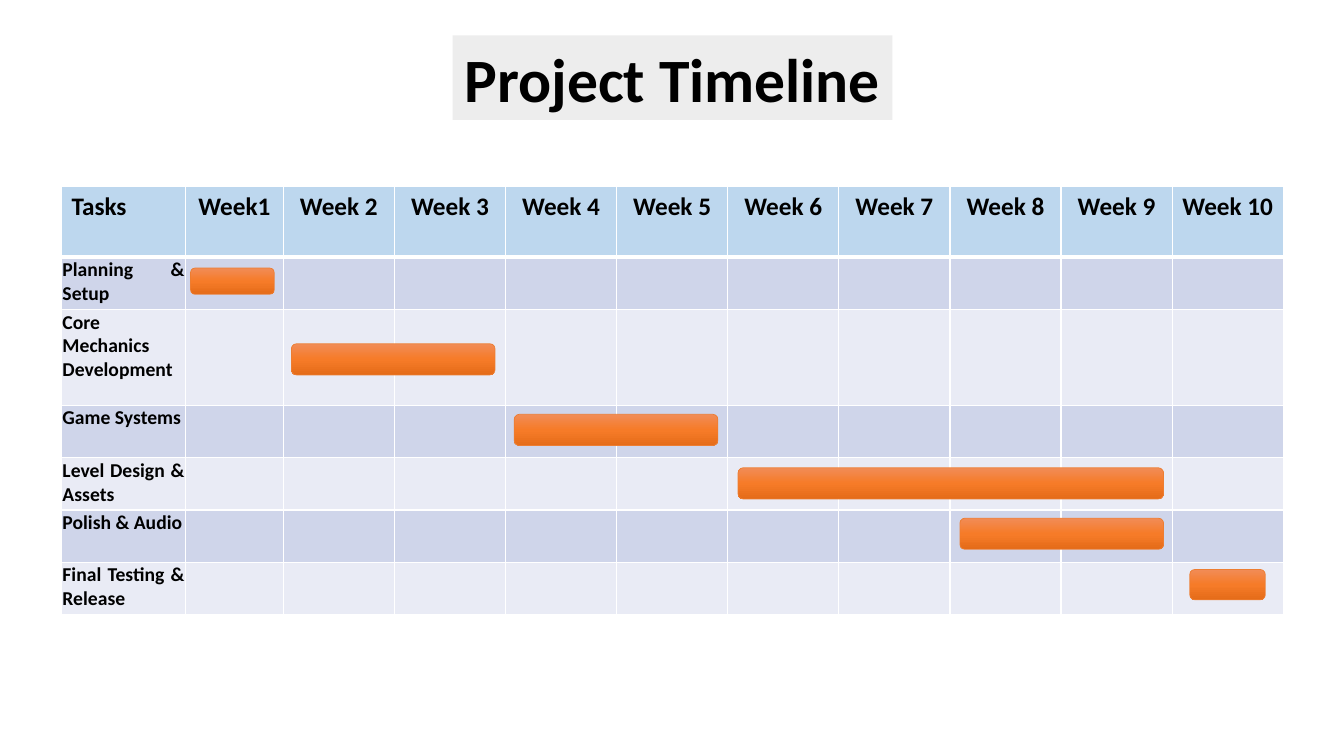
from copy import deepcopy
from lxml.etree import SubElement
from pptx import Presentation
from pptx.dml.color import RGBColor
from pptx.enum.shapes import MSO_SHAPE
from pptx.enum.text import MSO_ANCHOR, PP_ALIGN
from pptx.oxml.ns import qn
from pptx.util import Inches, Pt

COLORS = {
    "text": "000000", "title_fill": "EDEDED", "header": "BDD7EE",
    "odd_row": "CFD5EA", "even_row": "E9EBF5", "grid": "FFFFFF",
    "bar_top": "F18C57", "bar_middle": "F67B28", "bar_bottom": "E56C19",
    "bar_line": "ED7D31",
}
WEEKS = ["Week1"] + [f"Week {number}" for number in range(2, 11)]
# Task, row height, then left, top, width and height of its bar
TASKS = [
    ("Planning & Setup", 0.52, (1.89, 2.66, 0.83, 0.26)),
    ("Core Mechanics Development", 0.95, (2.89, 3.41, 2.02, 0.31)),
    ("Game Systems", 0.52, (5.1, 4.11, 2.02, 0.31)),
    ("Level Design & Assets", 0.52, (7.32, 4.64, 4.22, 0.31)),
    ("Polish & Audio", 0.52, (9.52, 5.14, 2.02, 0.31)),
    ("Final Testing & Release", 0.52, (11.8, 5.65, 0.75, 0.3)),
]
HEADER_HEIGHT = 0.7
TABLE_WIDTH, TASK_WIDTH, FIRST_WEEK_WIDTH = 12.12, 1.23, 0.97


def color(name):
    return RGBColor.from_string(COLORS[name])


def write(para, text, size, align):
    para.text = text
    para.alignment = align
    para.font.name = "Calibri"
    para.font.size = Pt(size)
    para.font.bold = True
    para.font.color.rgb = color("text")


deck = Presentation()
deck.slide_width, deck.slide_height = Inches(13.33), Inches(7.5)
page = deck.slides.add_slide(deck.slide_layouts[5])

# Title
title = page.shapes.title
title.left, title.top = Inches(4.49), Inches(0.35)
title.width, title.height = Inches(4.36), Inches(0.84)
title.fill.solid()
title.fill.fore_color.rgb = color("title_fill")
title.text_frame.word_wrap = False
title.text_frame.vertical_anchor = MSO_ANCHOR.MIDDLE
write(title.text_frame.paragraphs[0], "Project Timeline", 44, PP_ALIGN.CENTER)

# Table grid
row_heights = [HEADER_HEIGHT] + [height for _, height, _ in TASKS]
week_width = (TABLE_WIDTH - TASK_WIDTH - FIRST_WEEK_WIDTH) / (len(WEEKS) - 1)
column_widths = [TASK_WIDTH, FIRST_WEEK_WIDTH] + [week_width] * (len(WEEKS) - 1)
table = page.shapes.add_table(
    len(row_heights), len(column_widths), Inches(0.61), Inches(1.85),
    Inches(TABLE_WIDTH), Inches(sum(row_heights))).table
for column, width in zip(table.columns, column_widths):
    column.width = Inches(width)
for row, height in zip(table.rows, row_heights):
    row.height = Inches(height)

# Cell borders and fills, with a thick rule under the header
for row_index, row in enumerate(table.rows):
    band = "header" if row_index == 0 else ("even_row", "odd_row")[row_index % 2]
    for cell in row.cells:
        properties = cell._tc.get_or_add_tcPr()
        for side in ("lnL", "lnR", "lnT", "lnB"):
            thick = (row_index, side) in ((0, "lnB"), (1, "lnT"))
            border = SubElement(properties, qn(f"a:{side}"), w=str(Pt(3 if thick else 1)))
            border_fill = SubElement(border, qn("a:solidFill"))
            SubElement(border_fill, qn("a:srgbClr"), val=COLORS["grid"])
        cell.fill.solid()
        cell.fill.fore_color.rgb = color(band)

# Header labels
for column_index, label in enumerate(["Tasks"] + WEEKS):
    align = PP_ALIGN.CENTER if column_index else PP_ALIGN.LEFT
    write(table.cell(0, column_index).text_frame.paragraphs[0], label, 18, align)

# Task names and bars
for row_index, (task, _, bar_box) in enumerate(TASKS, start=1):
    cell = table.cell(row_index, 0)
    cell.margin_left = cell.margin_right = cell.margin_top = Inches(0.01)
    cell.margin_bottom = 0
    write(cell.text_frame.paragraphs[0], task, 14, PP_ALIGN.JUSTIFY)

    bar = page.shapes.add_shape(
        MSO_SHAPE.ROUNDED_RECTANGLE, *[Inches(value) for value in bar_box])
    bar.shadow.inherit = False
    bar.line.color.rgb = color("bar_line")
    bar.line.width = Pt(0.5)
    bar.fill.gradient()
    bar.fill.gradient_angle = 270
    stop_list = bar._element.spPr.find(qn("a:gradFill")).find(qn("a:gsLst"))
    stop_list.insert(1, deepcopy(stop_list[0]))
    stop_colors = ("bar_top", "bar_middle", "bar_bottom")
    for index, (stop, name) in enumerate(zip(bar.fill.gradient_stops, stop_colors)):
        stop.position = index / 2
        stop.color.rgb = color(name)

deck.save("out.pptx")
